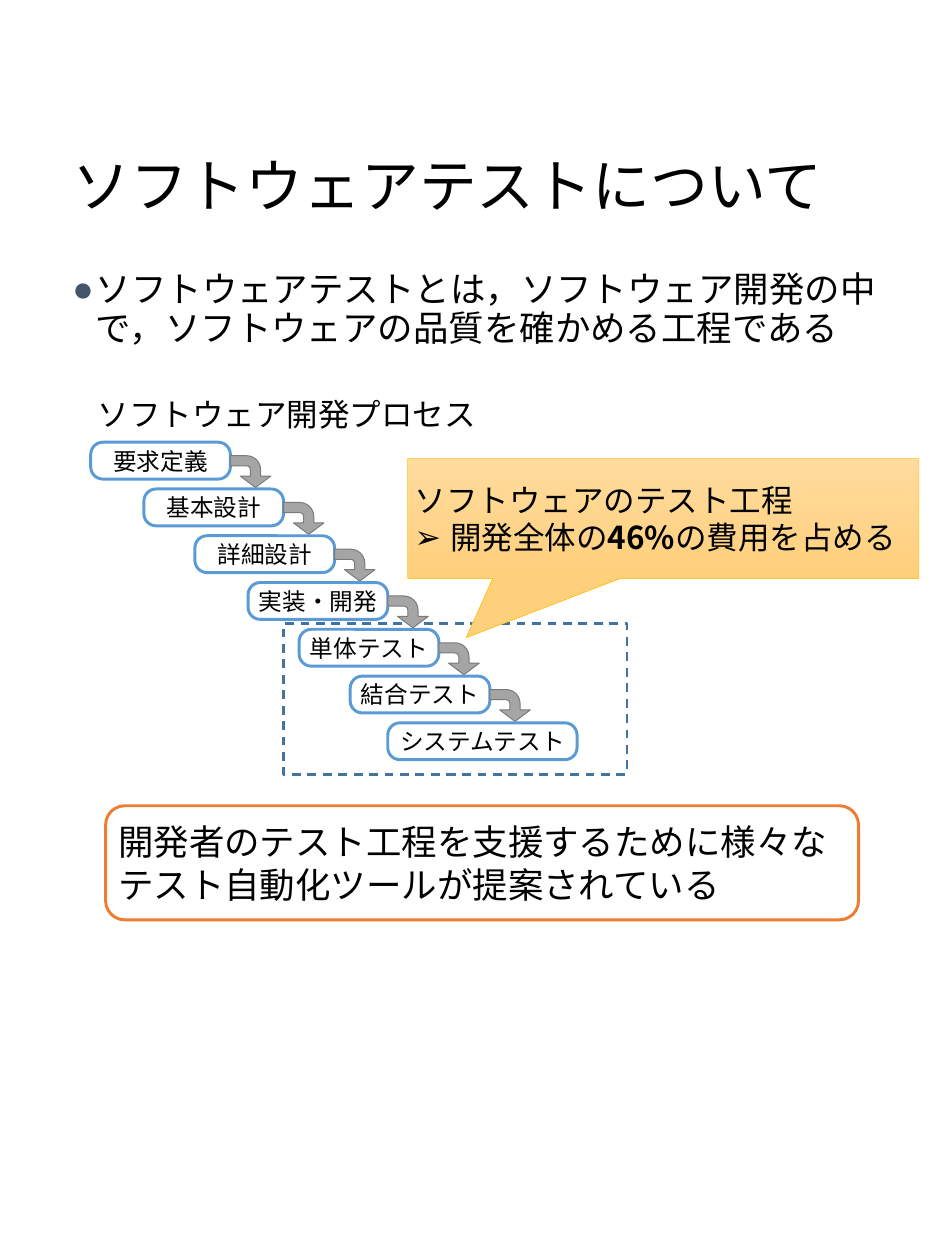
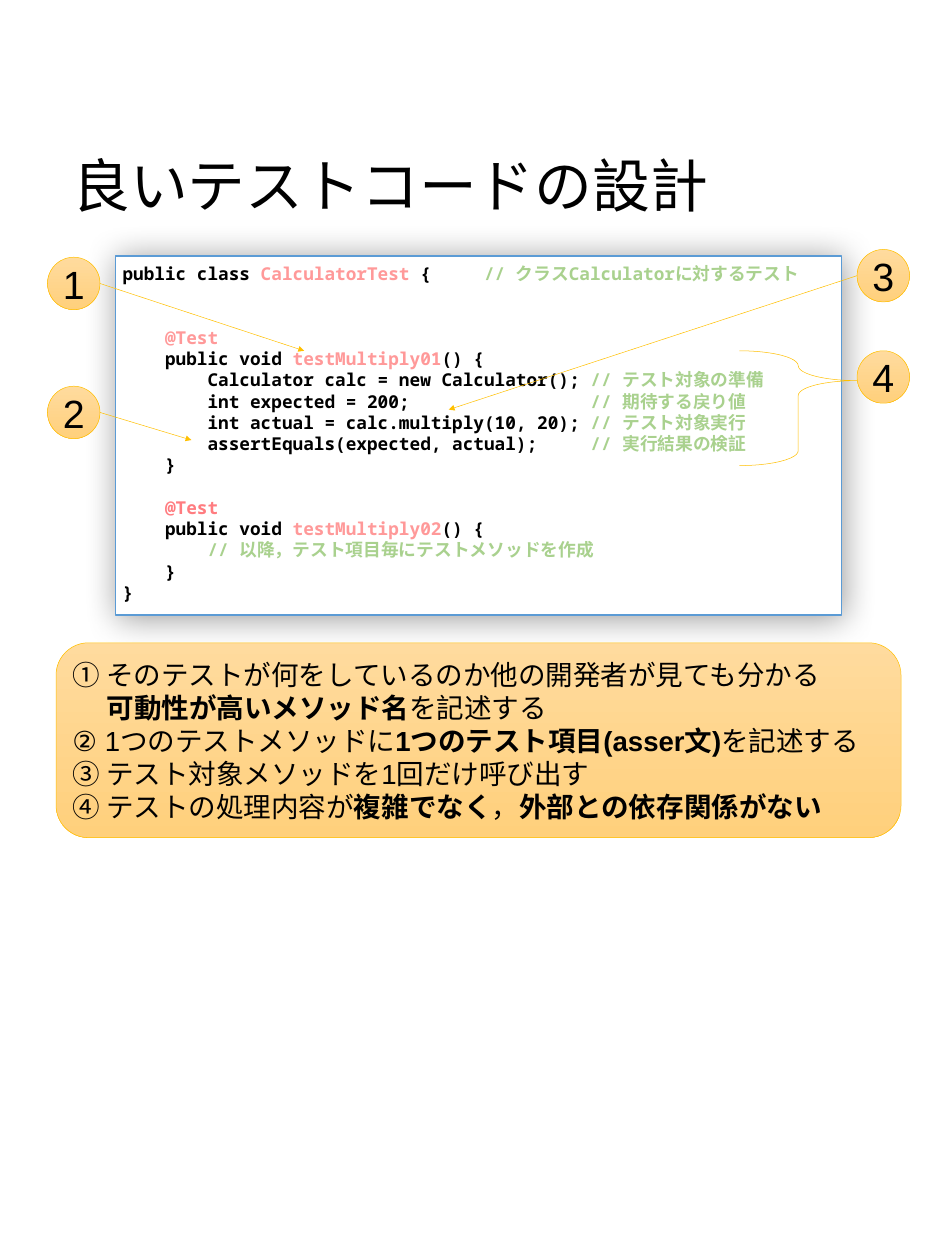
"""Build two slides on software testing and good test code."""
from dataclasses import dataclass

from pptx import Presentation
from pptx import util as u
from pptx.dml.color import RGBColor
from pptx.enum import dml, shapes, text
from pptx.oxml import ns
from lxml import etree


@dataclass(frozen=True)
class Theme:
    """Colours, fonts and type sizes of the slides."""
    black: str = "000000"
    white: str = "FFFFFF"
    bullet: str = "44546A"
    blue: str = "5B9BD5"
    dark_blue: str = "43739E"
    orange: str = "ED7D31"
    gold: str = "FFC000"
    gold_top: str = "FFDB9E"
    gold_bottom: str = "FFD07C"
    gray: str = "A5A5A5"
    dark_gray: str = "7A7A7A"
    pink: str = "FF9999"
    coral: str = "FF7C80"
    green: str = "A9D18E"
    japanese: str = "Noto Sans CJK JP"
    latin: str = "Arial"
    mono: str = "Noto Sans Mono"
    title_size: float = 58.7
    number_size: int = 40
    body_size: int = 36
    label_size: int = 32
    note_size: int = 28
    step_size: int = 24
    code_size: int = 18
    code_line: float = 21.6


THEME = Theme()
GOLD = (THEME.gold_top, THEME.gold_bottom)
GOLD_LINE = (THEME.gold, 0.5)
BOLD = {"bold": True}
PINK = {"color": THEME.pink}
CORAL = {"color": THEME.coral}
GREEN = {"color": THEME.green}
CIRCLE = 0.74

STEPS = [
    ("要求定義", 1.28), ("基本設計", 2.03), ("詳細設計", 2.75),
    ("実装・開発", 3.5), ("単体テスト", 4.22), ("結合テスト", 4.94),
    ("システムテスト", 5.47),
]

CODE = [
    (0, ["public class ", ("CalculatorTest", PINK), " {     ",
         ("// クラスCalculatorに対するテスト", GREEN)]),
    (2, ["    ", ("@Test", PINK)]),
    (0, ["    public void ", ("testMultiply01", PINK), "() {"]),
    (0, ["        Calculator calc = new Calculator(); ", ("// テスト対象の準備", GREEN)]),
    (0, ["        int expected = 200;                 ", ("// 期待する戻り値", GREEN)]),
    (0, ["        int actual = calc.multiply(10, 20); ", ("// テスト対象実⾏", GREEN)]),
    (0, ["        assertEquals(expected, actual);     ", ("// 実⾏結果の検証", GREEN)]),
    (0, ["    }"]),
    (1, ["    ", ("@Test", CORAL)]),
    (0, ["    public void ", ("testMultiply02", PINK), "() {"]),
    (0, ["        ", ("// 以降，テスト項⽬毎にテストメソッドを作成", GREEN)]),
    (0, ["    }"]),
    (0, ["}"]),
]

RULES = [
    ["① そのテストが何をしているのか他の開発者が見ても分かる", "\n",
     ("可動性が高いメソッド名", BOLD), "を記述する"],
    ["② 1つのテストメソッドに", ("1つのテスト項目(asser文)", BOLD), "を記述する"],
    ["③ テスト対象メソッドを1回だけ呼び出す"],
    ["④ テストの処理内容が", ("複雑でなく", BOLD), "，", ("外部との依存関係がない", BOLD)],
]


def rgb(color):
    """Turn a hex string into a colour."""
    return RGBColor.from_string(color)


def add_xml(parent, tag, **attributes):
    """Append one DrawingML element and return it."""
    return etree.SubElement(parent, ns.qn(tag), attributes)


def inches(box):
    """Convert a box of numbers to lengths."""
    return [u.Inches(value) for value in box]


def style_run(run, size, font, color=THEME.black, bold=False):
    """Format one run, with the Japanese font for East Asian letters."""
    run.font.size = u.Pt(size)
    run.font.name = font
    run.font.bold = bold
    run.font.color.rgb = rgb(color)
    add_xml(run.font._element, "a:ea", typeface=THEME.japanese)


def write(shape, paragraphs, size, font=THEME.japanese, bold=False,
          align=text.PP_ALIGN.LEFT, anchor=text.MSO_ANCHOR.MIDDLE):
    """Fill a shape with paragraphs made of plain or styled pieces."""
    frame = shape.text_frame
    frame.word_wrap = True
    frame.auto_size = text.MSO_AUTO_SIZE.NONE
    frame.vertical_anchor = anchor
    for index, pieces in enumerate(paragraphs):
        paragraph = frame.add_paragraph() if index else frame.paragraphs[0]
        paragraph.alignment = align
        for piece in pieces:
            if piece == "\n":
                paragraph.add_line_break()
                continue
            words, style = (piece, {}) if isinstance(piece, str) else piece
            run = paragraph.add_run()
            run.text = words
            style_run(run, size, font, **{"bold": bold, **style})
    return frame.paragraphs


def hang(paragraph, indent):
    """Give a paragraph a hanging indent and return its properties."""
    properties = paragraph._p.get_or_add_pPr()
    properties.set("marL", str(u.Inches(indent)))
    properties.set("indent", str(-u.Inches(indent)))
    return properties


def add_bullet(paragraph, character, indent, color):
    """Put a bullet before a paragraph."""
    properties = hang(paragraph, indent)
    add_xml(add_xml(properties, "a:buClr"), "a:srgbClr", val=color)
    add_xml(properties, "a:buFont", typeface=THEME.latin)
    add_xml(properties, "a:buChar", char=character)


def add_shape(slide, kind, box, line, fill=None, adjustments=()):
    """Add a preset shape; a pair of fill colours makes a gradient."""
    shape = slide.shapes.add_shape(kind, *inches(box))
    shape.shadow.inherit = False
    for index, value in enumerate(adjustments):
        shape.adjustments[index] = value
    if fill is None:
        shape.fill.background()
    elif isinstance(fill, tuple):
        shape.fill.gradient()
        shape.fill.gradient_angle = 270
        for stop, color in zip(shape.fill.gradient_stops, fill):
            stop.color.rgb = rgb(color)
    else:
        shape.fill.solid()
        shape.fill.fore_color.rgb = rgb(fill)
    color, width = line
    shape.line.color.rgb = rgb(color)
    shape.line.width = u.Pt(width)
    return shape


def add_soft_shadow(shape):
    """Put a wide soft shadow under a shape."""
    effects = shape._element.spPr.find(ns.qn("a:effectLst"))
    shadow = add_xml(effects, "a:outerShdw", blurRad=str(u.Pt(35)),
                     dist=str(u.Pt(3)), dir="2700000", algn="tl", rotWithShape="0")
    color = add_xml(shadow, "a:srgbClr", val=THEME.black)
    add_xml(color, "a:alpha", val="40000")


def add_pointer(slide, start, end):
    """Draw a thin gold arrow."""
    pointer = slide.shapes.add_connector(
        shapes.MSO_CONNECTOR.STRAIGHT, *inches(start + end))
    color, width = GOLD_LINE
    pointer.line.color.rgb = rgb(color)
    pointer.line.width = u.Pt(width)
    add_xml(pointer.line._get_or_add_ln(), "a:tailEnd", type="triangle")
    add_xml(pointer._element.spPr, "a:effectLst")


def add_number(slide, number, left, top):
    """Add a numbered gold circle."""
    circle = add_shape(slide, shapes.MSO_SHAPE.OVAL, (left, top, CIRCLE, CIRCLE),
                       GOLD_LINE, GOLD)
    write(circle, [[str(number)]], THEME.number_size, THEME.latin,
          align=text.PP_ALIGN.CENTER)


def place(shape, box):
    """Move and size a placeholder."""
    shape.left, shape.top, shape.width, shape.height = inches(box)


def add_titled_slide(presentation, layout, title, top, height):
    """Add a slide with the shared title style."""
    slide = presentation.slides.add_slide(presentation.slide_layouts[layout])
    place(slide.shapes.title, (0.92, top, 11.5, height))
    paragraph = write(slide.shapes.title, [[title]], THEME.title_size)[0]
    paragraph.line_spacing = 0.9
    return slide


def add_process(slide):
    """Draw the staircase of development steps with bent arrows."""
    for index, (label, left) in enumerate(STEPS):
        top = 6.24 + 0.66 * index
        last = index == len(STEPS) - 1
        step = add_shape(slide, shapes.MSO_SHAPE.ROUNDED_RECTANGLE,
                         (left, top, 2.67 if last else 1.97, 0.52),
                         (THEME.blue, 3), THEME.white, [0.33])
        write(step, [[label]], THEME.step_size, align=text.PP_ALIGN.CENTER)
        if not last:
            arrow = add_shape(slide, shapes.MSO_SHAPE.BENT_ARROW,
                              (left + 2.03, top + 0.13, 0.45, 0.57),
                              (THEME.dark_gray, 1), THEME.gray,
                              [0.32, 0.48, 0.36, 0.44])
            arrow.rotation = 90


def add_overview_slide(presentation):
    """Build the slide on software testing."""
    slide = add_titled_slide(presentation, 1, "ソフトウェアテストについて", 0.95, 3.44)
    body = slide.placeholders[1]
    place(body, (0.92, 3.79, 11.77, 1.25))
    definition = write(
        body,
        [["ソフトウェアテストとは，ソフトウェア開発の中で，ソフトウェアの品質を確かめる工程である"]],
        THEME.body_size, anchor=text.MSO_ANCHOR.TOP)[0]
    add_bullet(definition, "●", 0.33, THEME.bullet)
    definition.line_spacing = 0.9
    definition.space_before = u.Pt(0)

    frame = add_shape(slide, shapes.MSO_SHAPE.RECTANGLE, (4, 8.8, 4.84, 2.13),
                      (THEME.dark_blue, 2.25))
    frame.line.dash_style = dml.MSO_LINE.DASH
    callout = add_shape(slide, shapes.MSO_SHAPE.RECTANGULAR_CALLOUT,
                        (5.75, 6.47, 7.21, 1.69), GOLD_LINE, GOLD, [-0.385, 0.995])
    cost = write(callout, [["ソフトウェアのテスト工程"],
                           ["開発全体の", ("46%", BOLD), "の費用を占める"]],
                 THEME.label_size)[1]
    add_bullet(cost, "➢", 0.5, THEME.black)
    add_process(slide)

    caption = slide.shapes.add_textbox(*inches((1.28, 5.52, 5.82, 0.64)))
    write(caption, [["ソフトウェア開発プロセス"]], THEME.label_size,
          anchor=text.MSO_ANCHOR.TOP)
    summary = add_shape(slide, shapes.MSO_SHAPE.ROUNDED_RECTANGLE,
                        (1.49, 11.37, 10.62, 1.61), (THEME.orange, 3), THEME.white)
    write(summary, [["開発者のテスト工程を支援するために様々なテスト自動化ツールが提案されている"]],
          THEME.body_size)


def add_code_slide(presentation):
    """Build the slide on good test code."""
    slide = add_titled_slide(presentation, 5, "良いテストコードの設計", 2.15, 1.03)
    listing = add_shape(slide, shapes.MSO_SHAPE.RECTANGLE, (1.63, 3.61, 10.24, 5.07),
                        (THEME.blue, 1.5), THEME.white)
    add_soft_shadow(listing)
    listing.text_frame.margin_top = u.Inches(0.1)
    lines = write(listing, [pieces for _, pieces in CODE], THEME.code_size,
                  THEME.mono, bold=True, anchor=text.MSO_ANCHOR.TOP)
    for line, (gap, _) in zip(lines, CODE):
        line.line_spacing = u.Pt(THEME.code_line)
        line.space_before = u.Pt(gap * THEME.code_line)

    rules = add_shape(slide, shapes.MSO_SHAPE.ROUNDED_RECTANGLE,
                      (0.79, 9.07, 11.92, 2.75), GOLD_LINE, GOLD)
    hang(write(rules, RULES, THEME.note_size, THEME.latin)[0], 0.48)

    left, right = 0.67, 12.09
    middle = CIRCLE / 2
    add_pointer(slide, (left + CIRCLE, 3.63 + middle), (4.29, 4.95))
    add_pointer(slide, (left + CIRCLE, 5.45 + middle), (2.7, 6.21))
    add_shape(slide, shapes.MSO_SHAPE.RIGHT_BRACE, (10.43, 4.95, 1.66, 1.62),
              GOLD_LINE, adjustments=[0.13, 0.26])
    add_pointer(slide, (right, 3.52 + middle), (6.33, 5.78))
    for number, x, y in [(3, right, 3.52), (4, right, 4.95),
                         (1, left, 3.63), (2, left, 5.45)]:
        add_number(slide, number, x, y)


def main():
    """Build and save the presentation."""
    presentation = Presentation()
    presentation.slide_width = u.Inches(13.33)
    presentation.slide_height = u.Inches(17.78)
    add_overview_slide(presentation)
    add_code_slide(presentation)
    presentation.save("out.pptx")


if __name__ == "__main__":
    main()
